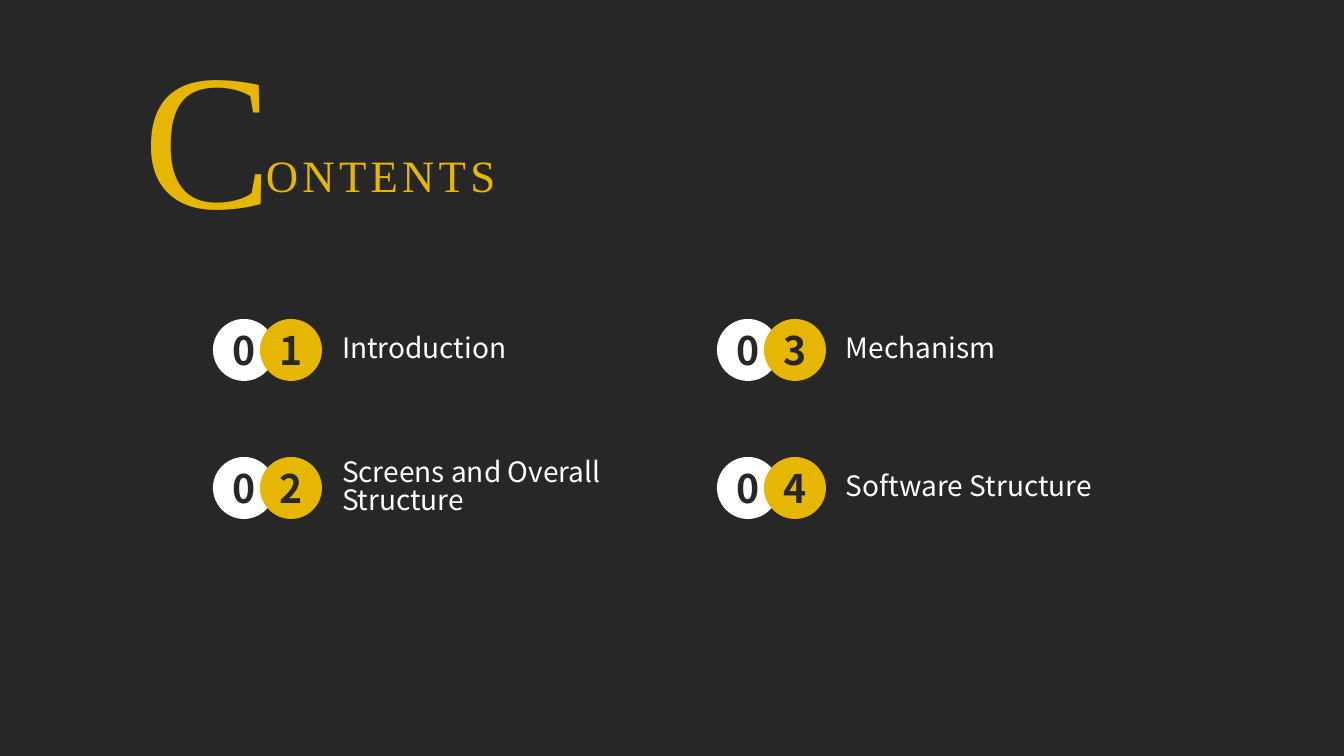
import pptx
import pptx.dml.color
import pptx.enum.shapes
import pptx.enum.text
import pptx.oxml
import pptx.util
from dataclasses import dataclass

PAGE_WIDTH, PAGE_HEIGHT = 1344, 756
SCALE = 12192000 / PAGE_WIDTH
ALIGN = pptx.enum.text.PP_ALIGN
LABELS = ["Introduction", "Screens and Overall Structure", "Mechanism", "Software Structure"]


@dataclass(frozen=True)
class Theme:
    """Colours, fonts and type sizes of the slide."""
    dark: str = "282728"
    gold: str = "E5B704"
    white: str = "FFFFFF"
    serif: str = "Times New Roman"
    sans: str = "Noto Sans CJK SC"
    initial: int = 138
    heading: int = 32
    number: int = 28
    label: int = 20


THEME = Theme()


def px(length):
    """Turn whole pixels into EMU."""
    return pptx.util.Emu(round(length * SCALE))


def rgb(code):
    """Turn a hex code into a colour."""
    return pptx.dml.color.RGBColor.from_string(code)


def apply(target, values):
    """Set each attribute named in a dict of format values."""
    for name, value in values.items():
        setattr(target, name, value)


def place(box, left, top, width, height):
    """Move and size a box given in pixels."""
    apply(box, {"left": px(left), "top": px(top), "width": px(width), "height": px(height)})


def write(box, text, font, color, align=ALIGN.LEFT, spacing=0, frame=None, para_format=None):
    """Write one formatted run, centred vertically in its box."""
    apply(box.text_frame, {
        "auto_size": pptx.enum.text.MSO_AUTO_SIZE.NONE,
        "vertical_anchor": pptx.enum.text.MSO_ANCHOR.MIDDLE,
        "word_wrap": True, **(frame or {})})
    para = box.text_frame.paragraphs[0]
    apply(para, {"alignment": align, **(para_format or {})})
    span = para.add_run()
    span.text = text
    apply(span.font, font)
    span.font.color.rgb = rgb(color)
    if spacing:
        span._r.get_or_add_rPr().set("spc", str(spacing * 100))
    return para


def add_heading(page):
    """Set the large initial as title, followed by the rest of the word."""
    title = page.shapes.title
    place(title, 133, 49, 388, 164)
    write(title, "C", {"name": THEME.serif, "size": pptx.util.Pt(THEME.initial)},
          THEME.gold, spacing=4, para_format={"line_spacing": 1.0})
    rest = page.shapes.add_textbox(px(256), px(150), px(241), px(50))
    write(rest, "ONTENTS", {"name": THEME.serif, "size": pptx.util.Pt(THEME.heading)},
          THEME.gold, spacing=3, frame={"word_wrap": False})


def add_disc(page, left, top, digit, color):
    """Draw a disc holding one digit."""
    disc = page.shapes.add_shape(pptx.enum.shapes.MSO_SHAPE.OVAL,
                                 px(left), px(top), px(62), px(62))
    disc.shadow.inherit = False
    disc.fill.solid()
    disc.fill.fore_color.rgb = rgb(color)
    disc.line.fill.background()
    margins = dict.fromkeys(["margin_left", "margin_top", "margin_right", "margin_bottom"], 0)
    write(disc, digit, {"name": THEME.sans, "size": pptx.util.Pt(THEME.number), "bold": True},
          THEME.dark, ALIGN.CENTER, frame=margins)


def add_label(label, left, top, text):
    """Fill a body placeholder with an unbulleted entry."""
    place(label, left, top, 317, 96)
    para = write(label, text,
                 {"name": THEME.sans, "size": pptx.util.Pt(THEME.label), "bold": False},
                 THEME.white,
                 frame={"margin_left": px(20), "margin_top": 0,
                        "margin_right": 0, "margin_bottom": 0},
                 para_format={"space_before": pptx.util.Pt(0), "line_spacing": 0.85})
    properties = para._p.get_or_add_pPr()
    apply_indent = {"marL": "0", "indent": "0"}
    for name, value in apply_indent.items():
        properties.set(name, value)
    pptx.oxml.ns  # namespace helpers
    properties.append(pptx.oxml.parse_xml(
        '<a:buNone xmlns:a="http://schemas.openxmlformats.org/drawingml/2006/main"/>'))


def main():
    """Build and save the contents slide."""
    deck = pptx.Presentation()
    apply(deck, {"slide_width": px(PAGE_WIDTH), "slide_height": px(PAGE_HEIGHT)})
    page = deck.slides.add_slide(deck.slide_layouts.get_by_name("Comparison"))
    page.background.fill.solid()
    page.background.fill.fore_color.rgb = rgb(THEME.dark)
    add_heading(page)
    bodies = list(page.placeholders)[1:]
    for index, (body, text) in enumerate(zip(bodies, LABELS)):
        column, row = divmod(index, 2)
        left, top = 213 + 504 * column, 319 + 138 * row
        add_disc(page, left, top, "0", THEME.white)
        add_disc(page, left + 47, top, str(index + 1), THEME.gold)
        add_label(body, left + 109, top - 17, text)


    deck.save("out.pptx")


if __name__ == "__main__":
    main()
